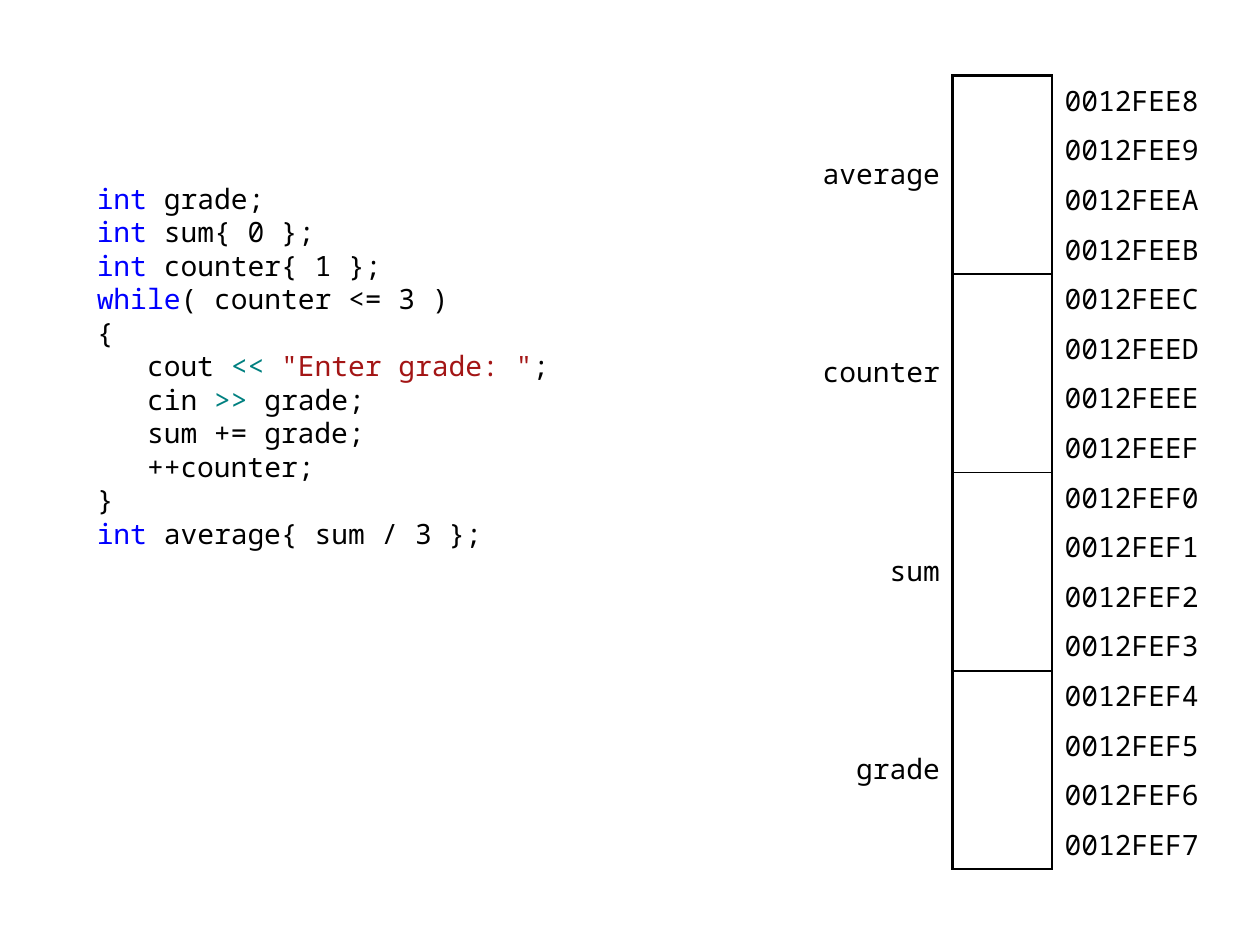
from dataclasses import dataclass

from lxml.etree import SubElement
from pptx import Presentation
from pptx.dml.color import RGBColor
from pptx.enum.text import MSO_ANCHOR, PP_ALIGN
from pptx.oxml.ns import qn
from pptx.util import Inches, Pt


@dataclass(frozen=True)
class Theme:
    font: str = "Noto Sans Mono"
    size: float = 16
    leading: float = 19.15
    ink: str = "000000"
    keyword: str = "0000FF"
    operator: str = "008080"
    string: str = "A31515"
    heavy: float = 1.5
    light: float = 1


THEME = Theme()
INT = ("int ", THEME.keyword)
CODE = [
    [INT, ("grade;", THEME.ink)],
    [INT, ("sum{ 0 };", THEME.ink)],
    [INT, ("counter{ 1 };", THEME.ink)],
    [("while", THEME.keyword), ("( counter <= 3 )", THEME.ink)],
    [("{", THEME.ink)],
    [("   cout ", THEME.ink), ("<< ", THEME.operator),
     ('"Enter grade: "', THEME.string), (";", THEME.ink)],
    [("   cin ", THEME.ink), (">>", THEME.operator), (" grade;", THEME.ink)],
    [("   sum += grade;", THEME.ink)],
    [("   ++counter;", THEME.ink)],
    [("}", THEME.ink)],
    [INT, ("average{ sum / 3 };", THEME.ink)],
]
VARIABLES = ["average", "counter", "sum", "grade"]
BYTES_PER_VARIABLE = 4
FIRST_ADDRESS = 0x0012FEE8


class SlideBuilder:
    """Draws code and a memory map on one slide in a shared style."""

    def __init__(self, page, theme):
        self.page = page
        self.theme = theme

    def span(self, paragraph, text, color):
        span = paragraph.add_run()
        span.text = text
        span.font.name = self.theme.font
        span.font.size = Pt(self.theme.size)
        span.font.color.rgb = RGBColor.from_string(color)

    def code(self, lines, left, top, width, height):
        box = self.page.shapes.add_textbox(Inches(left), Inches(top), Inches(width), Inches(height))
        frame = box.text_frame
        frame.word_wrap = True
        for index, line in enumerate(lines):
            paragraph = frame.add_paragraph() if index else frame.paragraphs[0]
            paragraph.line_spacing = Pt(self.theme.leading)
            for text, color in line:
                self.span(paragraph, text, color)

    def cell(self, cell, text="", align=PP_ALIGN.LEFT, margins=(0, 0), **borders):
        cell.vertical_anchor = MSO_ANCHOR.MIDDLE
        cell.margin_left = cell.margin_right = Inches(0.1)
        cell.margin_top, cell.margin_bottom = map(Inches, margins)
        properties = cell._tc.get_or_add_tcPr()
        for side in "LRTB":
            width = borders.get(side, 0)
            line = SubElement(properties, qn(f"a:ln{side}"), w=str(Pt(width)))
            if width:
                fill = SubElement(line, qn("a:solidFill"))
                SubElement(fill, qn("a:srgbClr"), val=self.theme.ink)
            else:
                SubElement(line, qn("a:noFill"))
        cell.fill.background()
        paragraph = cell.text_frame.paragraphs[0]
        paragraph.alignment = align
        if text:
            self.span(paragraph, text, self.theme.ink)

    def memory_map(self, names, left, top, widths, height):
        count = len(names) * BYTES_PER_VARIABLE
        table = self.page.shapes.add_table(
            count, len(widths), Inches(left), Inches(top), Inches(sum(widths)), Inches(height)
        ).table
        table.first_row = table.horz_banding = False
        for column, width in zip(table.columns, widths):
            column.width = Inches(width)
        heavy, light = self.theme.heavy, self.theme.light
        for row in range(count):
            table.rows[row].height = Inches(height / count)
            block, offset = divmod(row, BYTES_PER_VARIABLE)
            starts, ends = offset == 0, offset == BYTES_PER_VARIABLE - 1
            above = (light if block else heavy) if starts else 0
            below = (heavy if row == count - 1 else light) if ends else 0
            if starts:
                above_bottom = heavy if block == len(names) - 1 else light
                below = above_bottom
                for column in (0, 1):
                    last = table.cell(row + BYTES_PER_VARIABLE - 1, column)
                    table.cell(row, column).merge(last)
            name = names[block] if starts else ""
            self.cell(table.cell(row, 0), name, PP_ALIGN.RIGHT, (0, 0.02), R=heavy)
            self.cell(table.cell(row, 1), L=heavy, R=heavy, T=above, B=below)
            self.cell(table.cell(row, 2), f"{FIRST_ADDRESS + row:08X}", margins=(0.04, 0.04), L=heavy)


def main():
    deck = Presentation()
    deck.slide_width, deck.slide_height = Inches(10), Inches(7.5)
    builder = SlideBuilder(deck.slides.add_slide(deck.slide_layouts[6]), THEME)
    builder.code(CODE, 0.67, 1.39, 3.94, 3.15)
    builder.memory_map(VARIABLES, 6.38, 0.6, (1.18, 0.79, 1.38), 6.3)
    deck.save("out.pptx")


if __name__ == "__main__":
    main()
